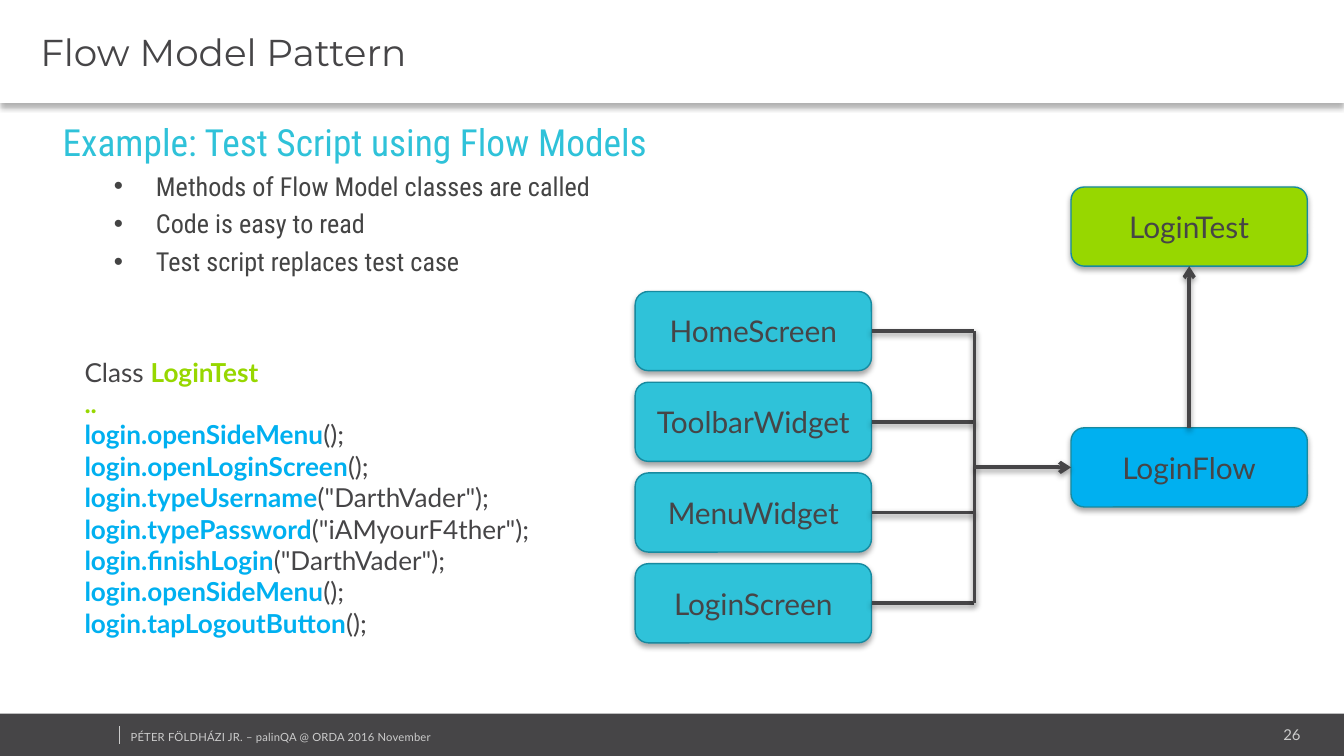
from lxml.etree import SubElement
from pptx import Presentation
from pptx.dml.color import RGBColor
from pptx.enum.shapes import MSO_CONNECTOR, MSO_SHAPE
from pptx.enum.text import MSO_ANCHOR, PP_ALIGN
from pptx.oxml.ns import qn
from pptx.util import Pt

COLORS = {
    "dark": "464547", "bullet": "444444", "pale": "CCCCCC", "white": "FFFFFF",
    "teal": "2FC2D9", "outline": "178AA0", "green": "97D700", "blue": "00B0F0",
    "black": "000000",
}
RGB = {name: RGBColor.from_string(value) for name, value in COLORS.items()}


def add_span(para, text, size, color, font="Lato", bold=False):
    span = para.add_run()
    span.text = text
    span.font.size = Pt(size)
    span.font.name = font
    span.font.bold = bold
    span.font.color.rgb = RGB[color]
    return span


def set_shadow(shape, opacity, distance=1.8):
    """Replace the theme shadow by a soft one below; opacity 0 means none."""
    properties = shape._element.spPr
    effects = SubElement(properties, qn("a:effectLst"))
    if opacity:
        outer = SubElement(effects, qn("a:outerShdw"), blurRad=str(Pt(3.1)),
                           dist=str(Pt(distance)), dir="5400000", rotWithShape="0")
        tint = SubElement(outer, qn("a:srgbClr"), val=COLORS["black"])
        SubElement(tint, qn("a:alpha"), val=str(opacity * 1000))


deck = Presentation()
deck.slide_width, deck.slide_height = Pt(720), Pt(405)
page = deck.slides.add_slide(deck.slide_layouts[6])
shapes = page.shapes

# Footer and title bars
for top, height, color, opacity in [(382.3, 22.7, "dark", 0), (0, 55.2, "white", 30)]:
    bar = shapes.add_shape(MSO_SHAPE.RECTANGLE, 0, Pt(top), Pt(720), Pt(height))
    bar.fill.solid()
    bar.fill.fore_color.rgb = RGB[color]
    bar.line.fill.background()
    set_shadow(bar, opacity, 2)
title = bar.text_frame
title.margin_left = Pt(21.6)
title.vertical_anchor = MSO_ANCHOR.MIDDLE
title.paragraphs[0].alignment = PP_ALIGN.LEFT
add_span(title.paragraphs[0], "Flow Model Pattern", 20, "dark", "Montserrat")

# Footer text
for left, top, width, height, text, size, align in [
    (584.6, 386, 117.4, 15, "26", 8, PP_ALIGN.RIGHT),
    (64.8, 388.6, 220, 13, "PÉTER FÖLDHÁZI JR. – palinQA @ ORDA 2016 November", 6, PP_ALIGN.LEFT),
]:
    box = shapes.add_textbox(Pt(left), Pt(top), Pt(width), Pt(height))
    box.text_frame.word_wrap = True
    box.text_frame.margin_left = box.text_frame.margin_right = Pt(5.2)
    box.text_frame.margin_top = box.text_frame.margin_bottom = Pt(2.6)
    para = box.text_frame.paragraphs[0]
    para.alignment = align
    span = add_span(para, text, size, "pale")
span.font._element.set("spc", "10")

divider = shapes.add_connector(MSO_CONNECTOR.STRAIGHT, Pt(64), Pt(389), Pt(64), Pt(398.6))
divider.line.color.rgb = RGB["pale"]
divider.line.width = Pt(0.25)
set_shadow(divider, 0)

# Heading with bullets
box = shapes.add_textbox(0, Pt(55.4), Pt(381.6), Pt(97.2))
box.text_frame.word_wrap = True
para = box.text_frame.paragraphs[0]
para.line_spacing = 1.2
para._p.get_or_add_pPr().set("marL", str(Pt(26.5)))
add_span(para, "Example: Test Script using Flow Models", 20, "teal", "Roboto Condensed")
for text in ["Methods of Flow Model classes are called", "Code is easy to read",
             "Test script replaces test case"]:
    para = box.text_frame.add_paragraph()
    para.level = 1
    para.line_spacing = 1.2
    layout = para._p.get_or_add_pPr()
    layout.set("marL", str(Pt(76.5)))
    layout.set("indent", str(Pt(-22.5)))
    SubElement(layout, qn("a:buFont"), typeface="Arial")
    SubElement(layout, qn("a:buChar"), char="•")
    add_span(para, text, 14, "bullet", "Roboto Condensed")

# Test script, one list of (text, colour, bold) for each line
calls = [("openSideMenu", ""), ("openLoginScreen", ""), ("typeUsername", '"DarthVader"'),
         ("typePassword", '"iAMyourF4ther"'), ("finishLogin", '"DarthVader"'),
         ("openSideMenu", ""), ("tapLogoutButton", "")]
code = [[("Class ", "dark", False), ("LoginTest", "green", True)], [("..", "green", True)]]
code += [[(f"login.{method}", "blue", True), (f"({argument});", "dark", False)]
         for method, argument in calls]
box = shapes.add_textbox(Pt(38.2), Pt(187.2), Pt(285.8), Pt(160))
box.text_frame.word_wrap = True
for index, line in enumerate(code):
    para = box.text_frame.add_paragraph() if index else box.text_frame.paragraphs[0]
    for text, color, bold in line:
        add_span(para, text, 14, color, bold=bold)

# Diagram nodes
NODE_WIDTH, NODE_HEIGHT = 126.6, 42.4
SCREEN_LEFT, SCREEN_TOP, SCREEN_STEP = 340.3, 156.2, 48.6
FLOW_LEFT, FLOW_TOP, TEST_TOP = 573.8, 229.2, 100.2
screens = ["HomeScreen", "ToolbarWidget", "MenuWidget", "LoginScreen"]
screen_tops = [SCREEN_TOP + SCREEN_STEP * row for row in range(len(screens))]
nodes = [(name, SCREEN_LEFT, top, "teal") for name, top in zip(screens, screen_tops)]
nodes += [("LoginFlow", FLOW_LEFT, FLOW_TOP, "blue"), ("LoginTest", FLOW_LEFT, TEST_TOP, "green")]
for name, left, top, color in nodes:
    node = shapes.add_shape(MSO_SHAPE.ROUNDED_RECTANGLE, Pt(left), Pt(top),
                            Pt(NODE_WIDTH), Pt(NODE_HEIGHT))
    node.fill.solid()
    node.fill.fore_color.rgb = RGB[color]
    node.line.color.rgb = RGB["outline"]
    node.line.width = Pt(0.75)
    set_shadow(node, 35)
    node.text_frame.vertical_anchor = MSO_ANCHOR.MIDDLE
    para = node.text_frame.paragraphs[0]
    para.alignment = PP_ALIGN.CENTER
    add_span(para, name, 16, "dark")

# Diagram links: a bus gathers the screens, then arrows lead on
BUS = 522
middles = [top + NODE_HEIGHT / 2 for top in screen_tops]
flow_middle = FLOW_TOP + NODE_HEIGHT / 2
flow_center = FLOW_LEFT + NODE_WIDTH / 2
links = [(SCREEN_LEFT + NODE_WIDTH, y, BUS, y, False) for y in middles]
links += [
    (BUS, middles[0], BUS, middles[-1], False),
    (flow_center, FLOW_TOP, flow_center, TEST_TOP + NODE_HEIGHT, True),
    (BUS, flow_middle, FLOW_LEFT, flow_middle, True),
]
for x1, y1, x2, y2, arrow in links:
    link = shapes.add_connector(MSO_CONNECTOR.STRAIGHT, Pt(x1), Pt(y1), Pt(x2), Pt(y2))
    link.line.color.rgb = RGB["dark"]
    link.line.width = Pt(2)
    if arrow:
        SubElement(link._element.spPr.find(qn("a:ln")), qn("a:tailEnd"), type="arrow")
    set_shadow(link, 38, 1.6)

deck.save("out.pptx")
